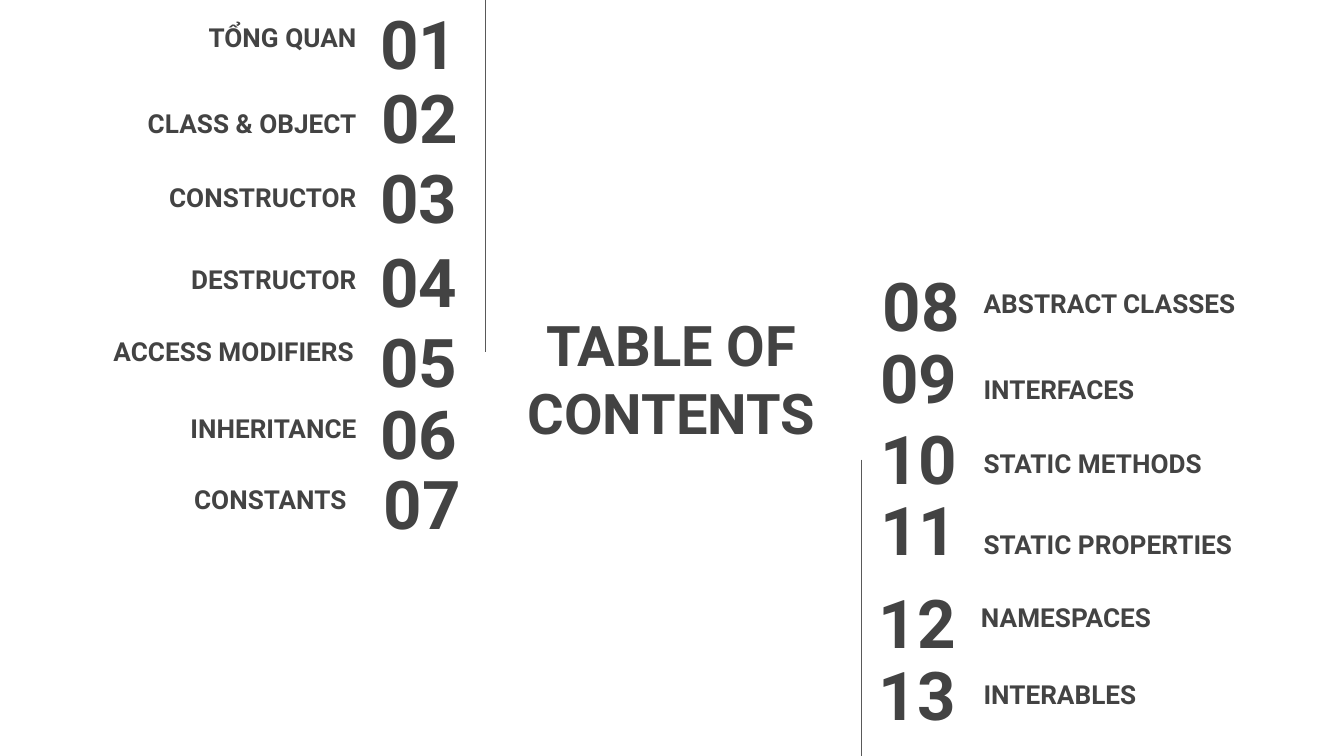
from lxml import etree
from pptx import Presentation
from pptx.dml.color import RGBColor
from pptx.enum import shapes, text
from pptx.oxml.ns import qn
from pptx.util import Cm, Pt


def color(value):
    return RGBColor.from_string(value)


def add_text(wording, left, top, width, height, size, align, anchor):
    box = page.shapes.add_textbox(Cm(left), Cm(top), Cm(width), Cm(height))
    frame = box.text_frame
    frame.word_wrap = True
    frame.vertical_anchor = anchor
    frame.margin_left = frame.margin_right = Cm(0.25)
    frame.margin_top = frame.margin_bottom = Cm(0.25)
    frame.text = wording
    para = frame.paragraphs[0]
    para.alignment = align
    font = para.runs[0].font
    font.name = "Roboto"
    font.size = Pt(size)
    font.bold = True
    font.color.rgb = color("434343")


LEFT, CENTER, RIGHT = text.PP_ALIGN.LEFT, text.PP_ALIGN.CENTER, text.PP_ALIGN.RIGHT
MIDDLE, BOTTOM = text.MSO_ANCHOR.MIDDLE, text.MSO_ANCHOR.BOTTOM

deck = Presentation()
deck.slide_width, deck.slide_height = Cm(25.4), Cm(14.29)
page = deck.slides.add_slide(deck.slide_layouts[6])

add_text("TABLE OF CONTENTS", 9.4, 5.84, 6.58, 2.62, 30, CENTER, MIDDLE)

# Number left, top, width; label, its left, top, width, height; label alignment
chapters = [
    (5.82, 0, 3.07, "TỔNG QUAN", 1.5, 0.2, 5.49, 1.04, RIGHT),
    (5.84, 1.4, 3.07, "CLASS & OBJECT", 1.5, 1.73, 5.49, 1.14, RIGHT),
    (5.82, 2.92, 3.07, "CONSTRUCTOR", 1.5, 3.3, 5.49, 0.97, RIGHT),
    (6.48, 4.5, 2.41, "DESTRUCTOR", 1.5, 4.78, 5.49, 1.04, RIGHT),
    (5.92, 6.02, 2.97, "ACCESS MODIFIERS", 1.45, 6.17, 5.49, 1.02, RIGHT),
    (5.92, 7.37, 2.97, "INHERITANCE", 1.5, 7.59, 5.49, 1.04, RIGHT),
    (6.27, 8.71, 2.69, "CONSTANTS", 1.85, 8.94, 4.95, 1.04, RIGHT),
    (15.32, 4.95, 3.07, "ABSTRACT CLASSES", 18.34, 5.23, 5.49, 1.04, LEFT),
    (15.27, 6.32, 3.07, "INTERFACES", 18.34, 6.76, 5.49, 1.14, LEFT),
    (15.27, 7.85, 3.07, "STATIC METHODS", 18.34, 8.33, 5.49, 0.97, LEFT),
    (15.93, 9.19, 2.41, "STATIC PROPERTIES", 18.34, 9.8, 5.49, 1.04, LEFT),
    (15.34, 10.95, 2.97, "NAMESPACES", 18.29, 11.2, 5.49, 1.02, LEFT),
    (15.34, 12.32, 2.97, "INTERABLES", 18.34, 12.62, 5.49, 1.04, LEFT),
]
for number, chapter in enumerate(chapters, start=1):
    left, top, width, label, label_left, label_top, label_width, label_height, align = chapter
    add_text(f"{number:02}", left, top, width, 1.6, 36, RIGHT, MIDDLE)
    add_text(label, label_left, label_top, label_width, label_height, 14, align, BOTTOM)

for x, top, bottom in [(9.17, 0, 6.65), (16.28, 8.69, 14.33)]:
    divider = page.shapes.add_connector(
        shapes.MSO_CONNECTOR.STRAIGHT, Cm(x), Cm(top), Cm(x), Cm(bottom))
    divider.line.color.rgb = color("595959")
    divider.line.width = Pt(0.75)
    etree.SubElement(divider._element.spPr, qn("a:effectLst"))

deck.save("out.pptx")
